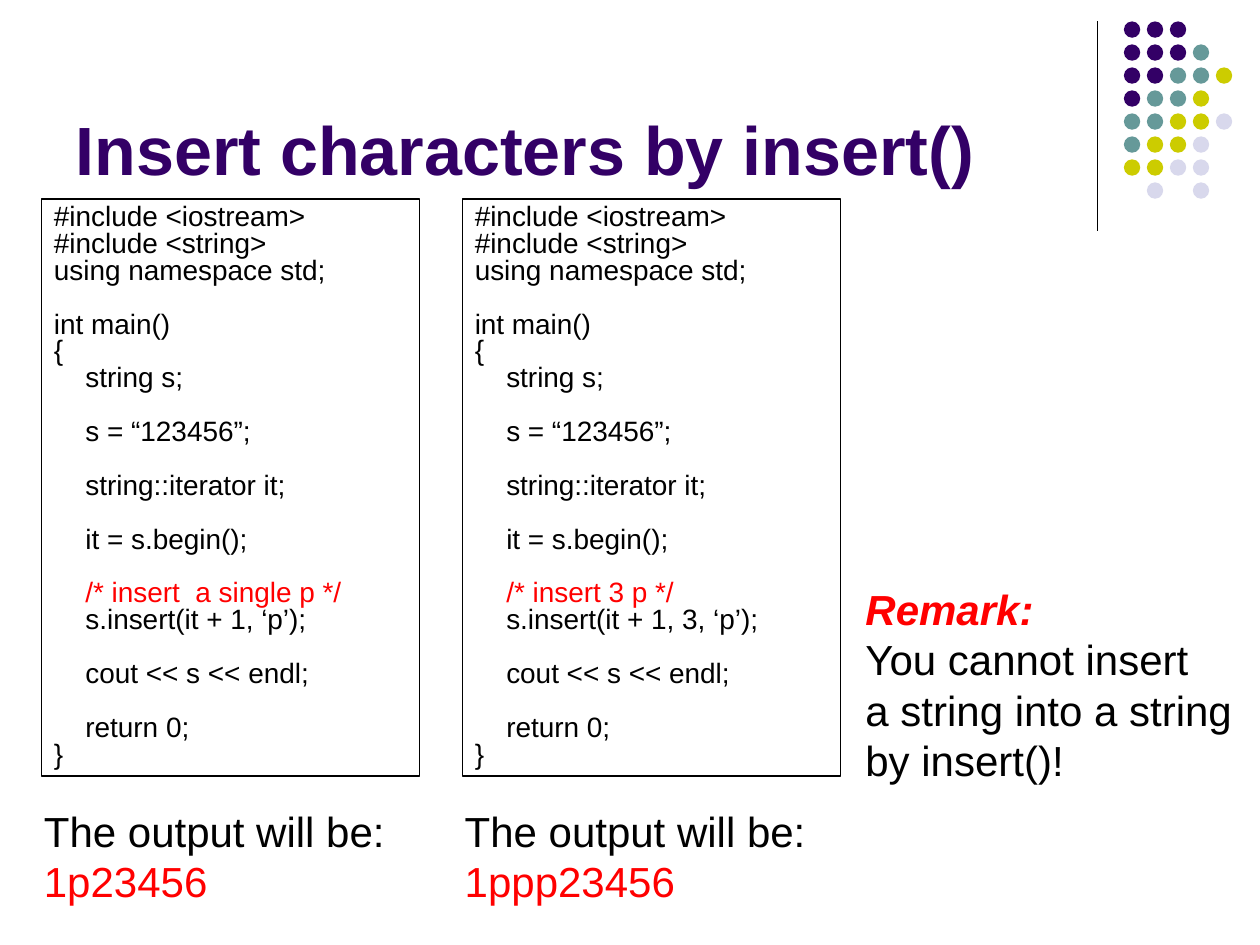
from dataclasses import dataclass

from lxml.etree import SubElement
from pptx import Presentation
from pptx.dml.color import RGBColor
from pptx.enum.shapes import MSO_CONNECTOR, MSO_SHAPE
from pptx.enum.text import MSO_ANCHOR, MSO_AUTO_SIZE, PP_ALIGN
from pptx.oxml.ns import qn
from pptx.util import Inches, Pt


@dataclass(frozen=True)
class Theme:
    font: str = "Arial"
    ink: str = "000000"
    accent: str = "FF0000"
    purple: str = "330066"
    teal: str = "669999"
    olive: str = "CCCC00"
    lilac: str = "D8D8EC"
    title_size: int = 39
    body_size: int = 24
    code_size: int = 16
    line_weight: float = 0.75
    body_leading: float = 1.2
    code_leading: float = 0.96


THEME = Theme()

DOT_ROWS = ["PPP", "PPPT", "PPTTO", "PTTO", "TTOOL", "TOOL", "OOLL", " L L"]
DOT_COLORS = {"P": THEME.purple, "T": THEME.teal, "O": THEME.olive, "L": THEME.lilac}
DOT_LEFT, DOT_TOP, DOT_SIZE = 8.92, 0.17, 0.13
DOT_PITCH = (9.65 - DOT_LEFT) / 4

PROGRAM = """#include <iostream>
#include <string>
using namespace std;

int main()
{
    string s;

    s = “123456”;

    string::iterator it;

    it = s.begin();

    /* {comment} */
    s.insert({arguments});

    cout << s << endl;

    return 0;
}"""
CODE_INDENT = Inches(0.25)

# left edge, comment, insert() arguments, output, output width
EXAMPLES = [
    (0.33, "insert  a single p", "it + 1, ‘p’", "1p23456", 3.08),
    (3.67, "insert 3 p", "it + 1, 3, ‘p’", "1ppp23456", 3),
]


def add_run(paragraph, text, size, color=THEME.ink, bold=False, italic=False):
    run = paragraph.add_run()
    run.text = text
    font = run.font
    font.name, font.size = THEME.font, Pt(size)
    font.bold, font.italic = bold, italic
    font.color.rgb = RGBColor.from_string(color)


def next_paragraph(frame, is_first):
    return frame.paragraphs[0] if is_first else frame.add_paragraph()


def set_title(slide, text):
    title = slide.shapes.title
    title.left, title.top = Inches(0.5), Inches(0.13)
    title.width, title.height = Inches(8.25), Inches(1.42)
    frame = title.text_frame
    frame.auto_size = MSO_AUTO_SIZE.NONE
    frame.vertical_anchor = MSO_ANCHOR.BOTTOM
    paragraph = frame.paragraphs[0]
    paragraph.alignment = PP_ALIGN.LEFT
    add_run(paragraph, text, THEME.title_size, THEME.purple, bold=True)


def add_divider(slide, x, top, bottom):
    divider = slide.shapes.add_connector(
        MSO_CONNECTOR.STRAIGHT, Inches(x), Inches(top), Inches(x), Inches(bottom))
    divider.line.color.rgb = RGBColor.from_string(THEME.ink)
    divider.line.width = Pt(THEME.line_weight)
    SubElement(divider.element.spPr, qn("a:effectLst"))


def add_dots(slide):
    dots = slide.shapes.add_group_shape().shapes
    for row, codes in enumerate(DOT_ROWS):
        for column, code in enumerate(codes):
            if code == " ":
                continue
            dot = dots.add_shape(
                MSO_SHAPE.OVAL,
                Inches(DOT_LEFT + column * DOT_PITCH),
                Inches(DOT_TOP + row * DOT_PITCH),
                Inches(DOT_SIZE), Inches(DOT_SIZE))
            dot.shadow.inherit = False
            dot.fill.solid()
            dot.fill.fore_color.rgb = RGBColor.from_string(DOT_COLORS[code])
            dot.line.fill.background()


def write_code(frame, code):
    """Write one paragraph per code line; blank lines become space before the next."""
    leading = THEME.code_size * THEME.code_leading
    gap = 0
    for number, line in enumerate(code.splitlines()):
        statement = line.strip()
        if not statement:
            gap = leading
            continue
        paragraph = next_paragraph(frame, number == 0)
        paragraph.alignment = PP_ALIGN.LEFT
        paragraph.line_spacing = Pt(leading)
        paragraph.space_before = Pt(gap)
        gap = 0
        if line != statement:
            paragraph._p.get_or_add_pPr().set("marL", str(CODE_INDENT))
        color = THEME.accent if statement.startswith("/*") else THEME.ink
        add_run(paragraph, statement, THEME.code_size, color)


def add_code_box(slide, left, code):
    box = slide.shapes.add_shape(
        MSO_SHAPE.RECTANGLE, Inches(left), Inches(1.58), Inches(3), Inches(4.58))
    box.shadow.inherit = False
    box.fill.background()
    box.line.color.rgb = RGBColor.from_string(THEME.ink)
    box.line.width = Pt(THEME.line_weight)
    frame = box.text_frame
    frame.word_wrap = True
    frame.vertical_anchor = MSO_ANCHOR.TOP
    write_code(frame, code)


def add_note(slide, left, top, width, height, lines, wrap=True):
    """Add a text box; each line is its text and the run formatting."""
    note = slide.shapes.add_textbox(
        Inches(left), Inches(top), Inches(width), Inches(height))
    frame = note.text_frame
    frame.word_wrap = wrap
    frame.auto_size = MSO_AUTO_SIZE.SHAPE_TO_FIT_TEXT
    for number, (text, style) in enumerate(lines):
        paragraph = next_paragraph(frame, number == 0)
        paragraph.line_spacing = Pt(THEME.body_size * THEME.body_leading)
        add_run(paragraph, text, THEME.body_size, **style)


def main():
    deck = Presentation()
    deck.slide_width, deck.slide_height = Inches(10), Inches(7.5)
    slide = deck.slides.add_slide(deck.slide_layouts[5])

    add_divider(slide, 8.71, 0.17, 1.83)
    add_dots(slide)
    set_title(slide, "Insert characters by insert()")

    highlight = {"color": THEME.accent}
    for left, comment, arguments, output, output_width in EXAMPLES:
        code = PROGRAM.replace("{comment}", comment).replace("{arguments}", arguments)
        add_code_box(slide, left, code)
        add_note(slide, left - 0.08, 6.34, output_width, 0.9,
                 [("The output will be:", {}), (output, highlight)])

    add_note(slide, 6.77, 4.58, 3.11, 1.7, [
        ("Remark:", {**highlight, "bold": True, "italic": True}),
        ("You cannot insert", {}),
        ("a string into a string", {}),
        ("by insert()!", {}),
    ], wrap=False)

    deck.save("out.pptx")


if __name__ == "__main__":
    main()
